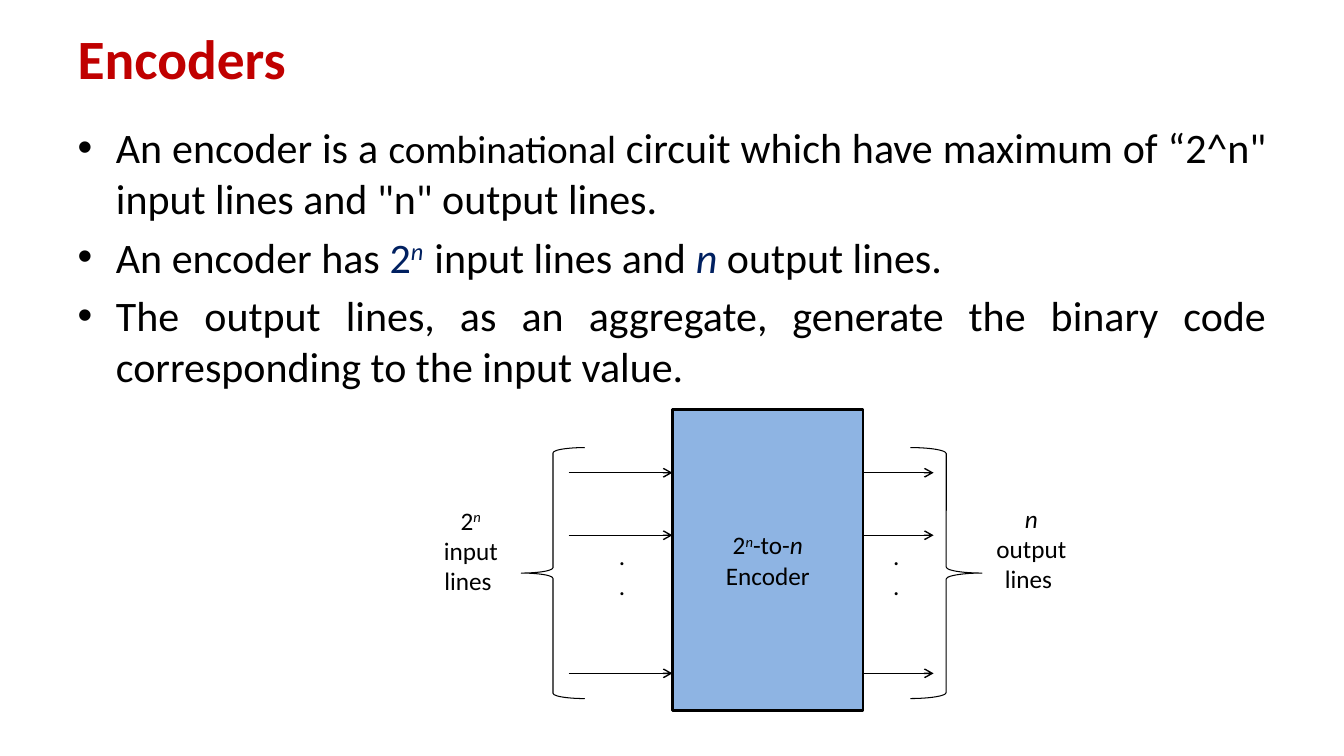
from lxml import etree
from pptx import Presentation
from pptx.dml.color import RGBColor
from pptx.enum import shapes, text
from pptx.oxml import ns
from pptx.util import Inches, Pt

RED = RGBColor(0xC0, 0x00, 0x00)
NAVY = RGBColor(0x00, 0x20, 0x60)
BLACK = RGBColor(0x00, 0x00, 0x00)
BLUE = RGBColor(0x8E, 0xB4, 0xE3)
FONT = "Calibri"
LEFT, CENTER, JUSTIFY = text.PP_ALIGN.LEFT, text.PP_ALIGN.CENTER, text.PP_ALIGN.JUSTIFY

TITLE = [[("Encoders", {"size": 39.6, "color": RED, "bold": True})]]
BULLETS = [
    [("An encoder is a ", {}), ("combinational", {"size": 28}),
     (" circuit which have maximum of “2^n\" input lines and \"n\" output lines. ", {})],
    [("An encoder has ", {}), ("2", {"color": NAVY}),
     ("n  ", {"color": NAVY, "italic": True, "raised": True}),
     ("input lines and ", {}), ("n ", {"color": NAVY, "italic": True}),
     ("output lines.", {})],
    [("The output lines, as an aggregate, generate the binary code "
      "corresponding to the input value.", {})],
]
POWER = [("2", {}), ("n", {"italic": True, "raised": True})]
N = ("n", {"italic": True})
ENCODER = [POWER + [("-to-", {}), N], [("Encoder", {})]]
DOTS = [[(".", {})], [(".", {})]]
LABELS = [
    ((4.3, 4.96, 0.74, 1.6), CENTER, [POWER, [("input", {})], [("lines ", {})]]),
    ((9.78, 4.94, 0.9, 1.6), CENTER, [[N], [("output", {})], [("lines ", {})]]),
    ((6.04, 5.31, 0.27, 1.12), LEFT, DOTS),
    ((8.76, 5.31, 0.27, 1.12), LEFT, DOTS),
]
BLOCK = (6.67, 4.06, 1.89, 2.99)
BRACES = [
    (shapes.MSO_SHAPE.LEFT_BRACE, (5.17, 4.44, 0.63, 2.49)),
    (shapes.MSO_SHAPE.RIGHT_BRACE, (9.03, 4.44, 0.71, 2.49)),
]
WIRE_ROWS = [4.69, 5.31, 6.68]
WIRE_SPANS = [(5.64, BLOCK[0]), (BLOCK[0] + BLOCK[2], 9.26)]


def box(at):
    """Convert a tuple of inches to lengths."""
    return [Inches(v) for v in at]


def place(s, at):
    """Move and size a placeholder."""
    s.left, s.top, s.width, s.height = box(at)


def write(tf, paragraphs, size, align):
    """Fill a text frame run by run and return its paragraphs."""
    tf.auto_size = text.MSO_AUTO_SIZE.NONE
    for i, runs in enumerate(paragraphs):
        p = tf.add_paragraph() if i else tf.paragraphs[0]
        p.alignment = align
        for words, style in runs:
            r = p.add_run()
            r.text = words
            r.font.name = FONT
            r.font.size = Pt(style.get("size", size))
            r.font.color.rgb = style.get("color", BLACK)
            r.font.bold = style.get("bold", False)
            r.font.italic = style.get("italic", False)
            if style.get("raised"):
                r._r.get_or_add_rPr().set("baseline", "30000")
    return tf.paragraphs


def add_shape(slide, kind, at, fill, width):
    """Add a black-outlined preset shape."""
    s = slide.shapes.add_shape(kind, *box(at))
    s.shadow.inherit = False
    if fill is None:
        s.fill.background()
    else:
        s.fill.solid()
        s.fill.fore_color.rgb = fill
    s.line.color.rgb = BLACK
    s.line.width = Pt(width)
    return s


def add_wire(slide, x1, x2, y):
    """Add a horizontal arrow pointing right."""
    c = slide.shapes.add_connector(shapes.MSO_CONNECTOR.STRAIGHT, *box((x1, y, x2, y)))
    c.line.color.rgb = BLACK
    c.line.width = Pt(1)
    etree.SubElement(c.line._get_or_add_ln(), ns.qn("a:tailEnd"), type="arrow")
    etree.SubElement(c._element.spPr, ns.qn("a:effectLst"))


def main():
    """Build the encoder slide."""
    prs = Presentation()
    prs.slide_width, prs.slide_height = Inches(13.33), Inches(7.5)
    slide = prs.slides.add_slide(prs.slide_layouts[1])

    title, body = slide.shapes.title, slide.placeholders[1]
    place(title, (0.67, 0.3, 12, 0.54))
    title.text_frame.vertical_anchor = text.MSO_ANCHOR.MIDDLE
    write(title.text_frame, TITLE, 39.6, LEFT)

    place(body, (0.67, 1.16, 12, 4.95))
    for i, p in enumerate(write(body.text_frame, BULLETS, 30, JUSTIFY)):
        pPr = p._p.get_or_add_pPr()
        pPr.set("marL", str(Inches(0.38)))
        pPr.set("indent", str(-Inches(0.38)))
        etree.SubElement(pPr, ns.qn("a:buChar"), char="•")
        p.space_before = Pt(6 if i else 0)

    block = add_shape(slide, shapes.MSO_SHAPE.RECTANGLE, BLOCK, BLUE, 2)
    block.text_frame.vertical_anchor = text.MSO_ANCHOR.MIDDLE
    write(block.text_frame, ENCODER, 18, CENTER)

    for x1, x2 in WIRE_SPANS:
        for y in WIRE_ROWS:
            add_wire(slide, x1, x2, y)
    for kind, at in BRACES:
        add_shape(slide, kind, at, None, 0.75)
    for at, align, paragraphs in LABELS:
        tf = slide.shapes.add_textbox(*box(at)).text_frame
        tf.word_wrap = False
        write(tf, paragraphs, 18, align)

    prs.save("out.pptx")


if __name__ == "__main__":
    main()
